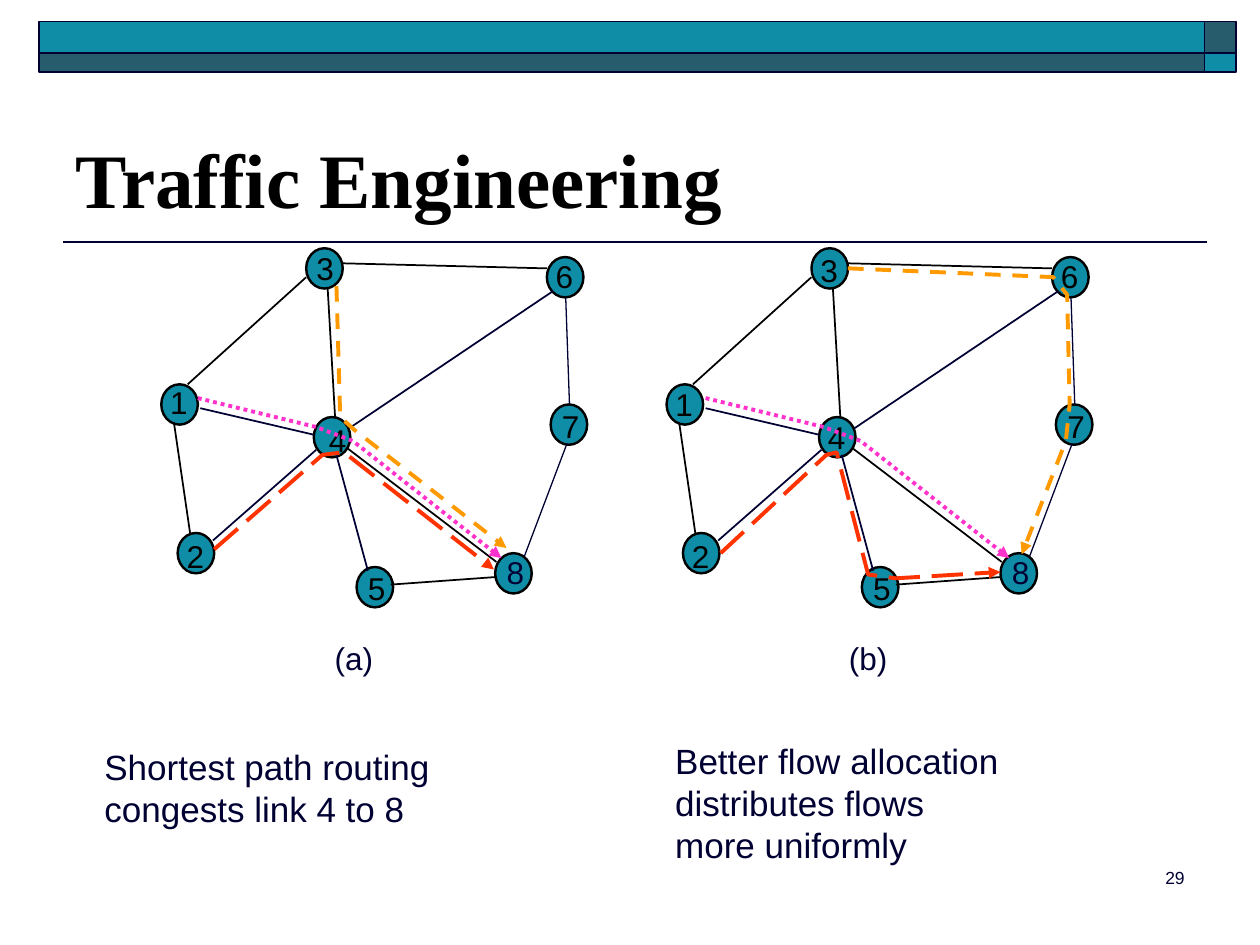
from lxml import etree
from pptx import Presentation
from pptx.dml.color import RGBColor
from pptx.enum.dml import MSO_LINE
from pptx.enum.shapes import MSO_CONNECTOR, MSO_SHAPE
from pptx.enum.text import MSO_ANCHOR, PP_ALIGN
from pptx.oxml.ns import qn
from pptx.util import Pt

PX = 9144  # EMU per px, 100 px to the inch
RECT, OVAL = MSO_SHAPE.RECTANGLE, MSO_SHAPE.OVAL
STRAIGHT = MSO_CONNECTOR.STRAIGHT
CENTER, RIGHT = PP_ALIGN.CENTER, PP_ALIGN.RIGHT
MIDDLE, BOTTOM = MSO_ANCHOR.MIDDLE, MSO_ANCHOR.BOTTOM
DOT, DASH, LONG = MSO_LINE.ROUND_DOT, MSO_LINE.DASH, MSO_LINE.LONG_DASH

COLORS = {"navy": "000033", "black": "000000", "teal": "108DA6", "slate": "275C6D",
          "pink": "FF33CC", "orange": "FF9900", "red": "FF3300"}

# number: (left, top, label offset x, label offset y)
NODES = {4: (121, 134, 12, 3), 6: (306, 7, 7, 0), 3: (115, 0, 8, 1),
         2: (13, 226, 7, 3), 1: (0, 108, 7, -1), 5: (155, 253, 9, 2),
         8: (265, 242, 9, 0), 7: (309, 124, 9, 2)}
# (from, to, color, width)
LINKS = [
    ((138, 135), (132, 31), "black", 1),
    ((148, 159), (266, 249), "black", 1),
    ((21, 108), (115, 23), "black", 1),
    ((144, 12), (306, 16), "black", 1),
    ((10, 138), (23, 227), "black", 1),
    ((182, 267), (265, 261), "black", 1),
    ((31, 127), (121, 148), "navy", 1),
    ((123, 160), (41, 232), "navy", 1),
    ((149, 143), (311, 34), "navy", 1),
    ((139, 164), (164, 256), "navy", 1),
    ((321, 39), (324, 124), "navy", 0.75),
    ((322, 155), (288, 245), "navy", 0.75),
]
FLOW_DASHES = {"pink": DOT, "orange": DASH, "red": LONG}
SHORTEST = {
    "box": (128, 197), "name": "(a)", "name_x": 128, "label_shifts": {},
    "flows": {
        "pink": [(29, 119), (123, 142), (152, 153), (270, 246)],
        "orange": [(139, 30), (142, 134), (153, 144), (274, 238)],
        "red": [(42, 239), (128, 164), (145, 162), (264, 255)],
    },
}
BALANCED = {
    "box": (529, 197), "name": "(b)", "name_x": 135,
    "label_shifts": {4: (-5, -2), 3: (-1, 1), 1: (0, 2)},
    "flows": {
        "pink": [(31, 119), (125, 142), (154, 153), (272, 246)],
        "orange": [(144, 16), (307, 23), (318, 37), (320, 124), (317, 153), (282, 243)],
        "red": [(43, 242), (127, 164), (135, 162), (160, 259), (182, 262), (265, 257)],
    },
}


def emu(*lengths):
    return [n * PX for n in lengths]


def rgb(name):
    return RGBColor.from_string(COLORS[name])


def set_line(sp, color, width):
    sp.line.color.rgb = rgb(color)
    sp.line.width = Pt(width)


def add_filled(s, kind, box, fill, line, width):
    sp = s.shapes.add_shape(kind, *emu(*box))
    sp.shadow.inherit = False
    sp.fill.solid()
    sp.fill.fore_color.rgb = rgb(fill)
    set_line(sp, line, width)


def add_line(s, start, end, color, width):
    sp = s.shapes.add_connector(STRAIGHT, *emu(*start, *end))
    set_line(sp, color, width)
    etree.SubElement(sp._element.spPr, qn("a:effectLst"))


def add_text(s, box, text, size, color="navy", font="Arial", bold=False, align=None,
             anchor=None, wrap=True, inset=(10, 5), before=0):
    tf = s.shapes.add_textbox(*emu(*box)).text_frame
    x, y = emu(*inset)
    frame = {"word_wrap": wrap, "vertical_anchor": anchor, "margin_left": x,
             "margin_right": x, "margin_top": y, "margin_bottom": y}
    p = tf.paragraphs[0]
    r = p.add_run()
    r.text = text
    r.font.color.rgb = rgb(color)
    formats = [(tf, frame),
               (p, {"alignment": align, "space_before": Pt(before)}),
               (r.font, {"name": font, "size": Pt(size), "bold": bold})]
    for target, values in formats:
        for key, value in values.items():
            setattr(target, key, value)


def add_flow(s, points, color):
    """Draw a dashed route that ends in an arrowhead."""
    start, *rest = [emu(*point) for point in points]
    builder = s.shapes.build_freeform(*start, scale=1.0)
    builder.add_line_segments(rest, close=False)
    sp = builder.convert_to_shape()
    sp.shadow.inherit = False
    sp.fill.background()
    set_line(sp, color, 2.25)
    sp.line.dash_style = FLOW_DASHES[color]
    etree.SubElement(sp.line._get_or_add_ln(), qn("a:tailEnd"), type="triangle")


def add_banner(s, left, top):
    rows = [(0, 25, "teal", "slate"), (25, 15, "slate", "teal")]
    for y, height, bar, corner in rows:
        add_filled(s, RECT, (left, top + y, 925, height), bar, "navy", 1)
        add_filled(s, RECT, (left + 925, top + y, 25, height), corner, "navy", 1)


def add_title(s, left, top, width):
    add_text(s, (left, top, width, 125), "Traffic Engineering", 44, "black",
             "Times New Roman", bold=True, anchor=BOTTOM)
    add_line(s, (left, top + 134), (left + width + 8, top + 134), "navy", 1)


def add_network(s, box, name, name_x, label_shifts, flows):
    left, top = box

    def place(point):
        return left + point[0], top + point[1]

    for number, (x, y, dx, dy) in NODES.items():
        add_filled(s, OVAL, (*place((x, y)), 29, 32), "teal", "black", 1.39)
        shift_x, shift_y = label_shifts.get(number, (0, 0))
        label = place((x + dx + shift_x, y + dy + shift_y))
        add_text(s, (*label, 14, 30), str(number), 18, "navy" if number == 8 else "black",
                 align=CENTER, wrap=False, inset=(0, 0))
    for start, end, color, width in LINKS:
        add_line(s, place(start), place(end), color, width)
    for color, points in flows.items():
        add_flow(s, [place(point) for point in points], color)
    add_text(s, (*place((name_x, 305)), 50, 40), name, 18, align=CENTER,
             anchor=MIDDLE, wrap=False, inset=(0, 5))


def main():
    prs = Presentation()
    prs.slide_width, prs.slide_height = emu(1000, 750)
    s = prs.slides.add_slide(prs.slide_layouts[6])
    add_banner(s, 31, 17)
    add_title(s, 50, 58, 900)
    for network in (SHORTEST, BALANCED):
        add_network(s, **network)
    add_text(s, (73, 587, 285, 77), "Shortest path routing congests link 4 to 8", 20, before=5)
    add_text(s, (526, 582, 285, 110),
             "Better flow allocation distributes flows more uniformly", 20, before=5)
    add_text(s, (742, 683, 208, 50), "29", 10, align=RIGHT)
    prs.save("out.pptx")


if __name__ == "__main__":
    main()
